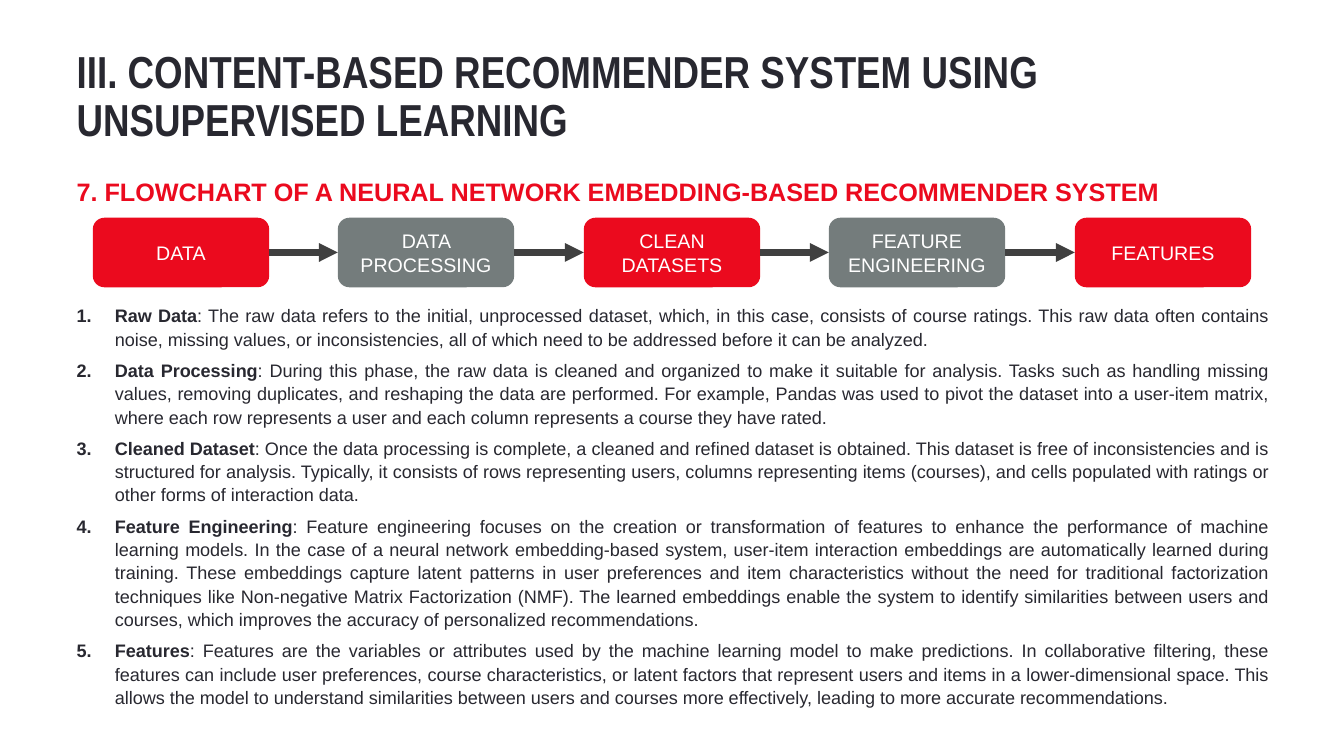
from lxml import etree
from pptx import Presentation, util as u
from pptx.dml.color import RGBColor
from pptx.enum import shapes, text
from pptx.oxml.ns import qn

INK, RED, GREY, DARK, WHITE = "282830", "EB0A1E", "747C7C", "404040", "FFFFFF"
PX = 9144  # 100 px to the inch


def px(n):
    return u.Emu(n * PX)


def rgb(code):
    return RGBColor.from_string(code)


def write(par, words, size=14, color=INK, bold=False, font="Arial"):
    run = par.add_run()
    run.text = words
    run.font.size = u.Pt(size)
    run.font.name = font
    run.font.bold = bold
    run.font.color.rgb = rgb(color)


class Deck:
    def __init__(self, wide, high):
        self.prs = Presentation()
        self.prs.slide_width, self.prs.slide_height = px(wide), px(high)
        self.slide = self.prs.slides.add_slide(self.prs.slide_layouts[6])
        self.items = self.slide.shapes

    def frame(self, x, y, w, h):
        box = self.items.add_textbox(px(x), px(y), px(w), px(h)).text_frame
        box.word_wrap = True
        box.margin_left = box.margin_right = 0
        box.margin_top = box.margin_bottom = 0
        return box

    def label(self, x, y, w, h, words, space, **style):
        par = self.frame(x, y, w, h).paragraphs[0]
        par.line_spacing = space
        write(par, words, **style)

    def steps(self, x, y, w, h, items, indent, **style):
        box = self.frame(x, y, w, h)
        for i, (name, note) in enumerate(items):
            par = box.add_paragraph() if i else box.paragraphs[0]
            props = par._p.get_or_add_pPr()
            props.set("marL", str(px(indent)))
            props.set("indent", str(-px(indent)))
            etree.SubElement(props, qn("a:buFont"), typeface="+mj-lt")
            etree.SubElement(props, qn("a:buAutoNum"), type="arabicPeriod")
            par.alignment = text.PP_ALIGN.JUSTIFY
            par.line_spacing = 1.07
            if i:
                par.space_before = u.Pt(6)
            write(par, name, bold=True, **style)
            write(par, ": " + note, **style)

    def block(self, x, y, w, h, words, fill):
        box = self.items.add_shape(
            shapes.MSO_SHAPE.ROUNDED_RECTANGLE, px(x), px(y), px(w), px(h))
        box.shadow.inherit = False
        box.fill.solid()
        box.fill.fore_color.rgb = rgb(fill)
        box.line.fill.background()
        box.text_frame.word_wrap = True
        box.text_frame.vertical_anchor = text.MSO_ANCHOR.MIDDLE
        par = box.text_frame.paragraphs[0]
        par.alignment = text.PP_ALIGN.CENTER
        write(par, words, color=WHITE)
        return box

    def arrow(self, start, end):
        line = self.items.add_connector(
            shapes.MSO_CONNECTOR.STRAIGHT, 0, 0, 0, 0)
        line.begin_connect(start, 3)
        line.end_connect(end, 1)
        line.line.width = u.Pt(4.5)
        line.line.color.rgb = rgb(DARK)
        etree.SubElement(line.line._get_or_add_ln(), qn("a:tailEnd"),
                         type="triangle")
        etree.SubElement(line._element.spPr, qn("a:effectLst"))


STAGES = ["DATA", "DATA PROCESSING", "CLEAN DATASETS",
          "FEATURE ENGINEERING", "FEATURES"]
NOTES = [
    ("Raw Data",
     "The raw data refers to the initial, unprocessed dataset, which, in this "
     "case, consists of course ratings. This raw data often contains noise, "
     "missing values, or inconsistencies, all of which need to be addressed "
     "before it can be analyzed."),
    ("Data Processing",
     "During this phase, the raw data is cleaned and organized to make it "
     "suitable for analysis. Tasks such as handling missing values, removing "
     "duplicates, and reshaping the data are performed. For example, Pandas "
     "was used to pivot the dataset into a user-item matrix, where each row "
     "represents a user and each column represents a course they have rated."),
    ("Cleaned Dataset",
     "Once the data processing is complete, a cleaned and refined dataset is "
     "obtained. This dataset is free of inconsistencies and is structured for "
     "analysis. Typically, it consists of rows representing users, columns "
     "representing items (courses), and cells populated with ratings or other "
     "forms of interaction data."),
    ("Feature Engineering",
     "Feature engineering focuses on the creation or transformation of "
     "features to enhance the performance of machine learning models. In the "
     "case of a neural network embedding-based system, user-item interaction "
     "embeddings are automatically learned during training. These embeddings "
     "capture latent patterns in user preferences and item characteristics "
     "without the need for traditional factorization techniques like "
     "Non-negative Matrix Factorization (NMF). The learned embeddings enable "
     "the system to identify similarities between users and courses, which "
     "improves the accuracy of personalized recommendations."),
    ("Features",
     "Features are the variables or attributes used by the machine learning "
     "model to make predictions. In collaborative filtering, these features "
     "can include user preferences, course characteristics, or latent factors "
     "that represent users and items in a lower-dimensional space. This allows "
     "the model to understand similarities between users and courses more "
     "effectively, leading to more accurate recommendations."),
]


def main():
    deck = Deck(1333, 750)
    left, wide = 76, 1182

    # Headings
    deck.label(left, 49, wide, 97,
               "III. CONTENT-BASED RECOMMENDER SYSTEM USING "
               "UNSUPERVISED LEARNING",
               0.9, size=32, bold=True, font="Arial Narrow")
    deck.label(left, 170, wide, 40,
               "7. FLOWCHART OF A NEURAL NETWORK EMBEDDING-BASED "
               "RECOMMENDER SYSTEM",
               1.17, size=18, bold=True, color=RED)

    # Numbered steps
    deck.steps(left, 301, wide, 426, NOTES, indent=38, size=12.9)

    # Flowchart: five evenly spaced blocks, alternating colours
    first, last = 92, 1066
    gaps = len(STAGES) - 1
    row = [deck.block(first + (last - first) * i // gaps, 216, 175, 69,
                      name, (RED, GREY)[i % 2])
           for i, name in enumerate(STAGES)]
    for start, end in zip(row, row[1:]):
        deck.arrow(start, end)

    deck.prs.save("out.pptx")


if __name__ == "__main__":
    main()
